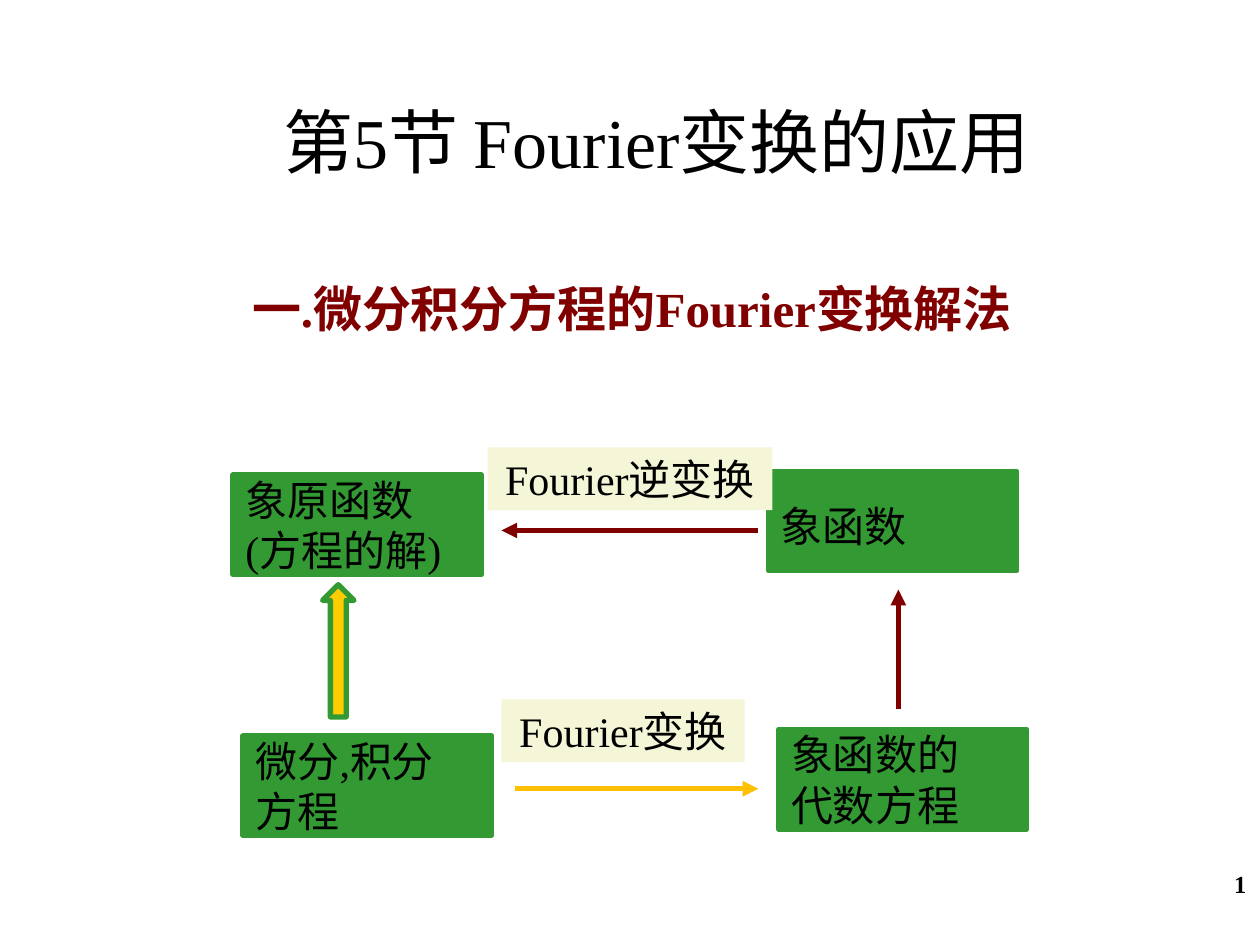
from lxml import etree
from pptx import Presentation
from pptx.dml.color import RGBColor
from pptx.enum.shapes import MSO_CONNECTOR, MSO_SHAPE
from pptx.enum.text import MSO_ANCHOR, PP_ALIGN
from pptx.oxml.ns import qn
from pptx.util import Inches, Pt

LEFT, CENTER, RIGHT = PP_ALIGN.LEFT, PP_ALIGN.CENTER, PP_ALIGN.RIGHT
TOP, MIDDLE, BOTTOM = MSO_ANCHOR.TOP, MSO_ANCHOR.MIDDLE, MSO_ANCHOR.BOTTOM
STEP, RECT, UP = MSO_SHAPE.FLOWCHART_PROCESS, MSO_SHAPE.RECTANGLE, MSO_SHAPE.UP_ARROW
STRAIGHT = MSO_CONNECTOR.STRAIGHT

HUES = {"ink": "000000", "red": "800000", "green": "339933",
        "gold": "FFCC00", "amber": "FFC000", "cream": "F5F5D7"}
RGB = {name: RGBColor.from_string(code) for name, code in HUES.items()}


def write(shape, text, size, align, anchor, wrap=True, bold=False, hue="ink"):
    frame = shape.text_frame
    frame.word_wrap = wrap
    frame.vertical_anchor = anchor
    frame.text = text
    for para in frame.paragraphs:
        para.alignment = align
        para.font.color.rgb = RGB[hue]
        form = {"name": "Times New Roman", "size": Pt(size), "bold": bold}
        for key, value in form.items():
            setattr(para.font, key, value)


def draw(kind, spot, fill, edge=None):
    """Add a filled preset shape without shadow, outlined if edge is given."""
    shape = slide.shapes.add_shape(kind, *map(Inches, spot))
    shape.shadow.inherit = False
    shape.fill.solid()
    shape.fill.fore_color.rgb = RGB[fill]
    if edge:
        shape.line.color.rgb = RGB[edge]
        shape.line.width = Pt(3)
    else:
        shape.line.fill.background()
    return shape


deck = Presentation()
deck.slide_width, deck.slide_height = Inches(10), Inches(7.5)
slide = deck.slides.add_slide(deck.slide_layouts[6])

# Page number and headings
heads = [
    ((8.63, 6.84, 1.36, 0.34), "1", 14, RIGHT, BOTTOM, True, "ink"),
    ((0.96, 2.16, 8.11, 0.71), "一.微分积分方程的Fourier变换解法", 28, CENTER, TOP, True, "red"),
    ((0.96, 0.73, 8.5, 0.77), "第5节 Fourier变换的应用", 40, CENTER, MIDDLE, False, "ink"),
]
for spot, text, size, align, anchor, bold, hue in heads:
    box = slide.shapes.add_textbox(*map(Inches, spot))
    write(box, text, size, align, anchor, bold=bold, hue=hue)

# Four stages of the solution
stages = [
    (1.85, 3.77, "象原函数\n(方程的解)", 0.05),
    (6.1, 3.74, "象函数", 0.12),
    (1.93, 5.84, "微分,积分\n方程", 0.05),
    (6.18, 5.79, "象函数的\n代数方程", 0.05),
]
for left, top, text, inset in stages:
    stage = draw(STEP, (left, top, 1.97, 0.79), "green", "green")
    write(stage, text, 24, LEFT, MIDDLE)
    stage.text_frame.margin_top = Inches(inset)

# Arrows between the stages
draw(UP, (2.56, 4.64, 0.25, 1.05), "gold", "green")
links = [
    (7.13, 5.63, 7.13, 4.68, "red"),
    (6.02, 4.21, 3.98, 4.21, "red"),
    (4.09, 6.26, 6.02, 6.26, "amber"),
]
for *ends, hue in links:
    link = slide.shapes.add_connector(STRAIGHT, *map(Inches, ends))
    link.line.color.rgb = RGB[hue]
    link.line.width = Pt(3)
    etree.SubElement(link.line._get_or_add_ln(), qn("a:tailEnd"), type="triangle")
    etree.SubElement(link._element.spPr, qn("a:effectLst"))

# Names of the transforms
labels = [
    ((3.87, 3.55, 2.26, 0.5), "Fourier逆变换"),
    ((3.98, 5.55, 1.93, 0.5), "Fourier变换"),
]
for spot, text in labels:
    write(draw(RECT, spot, "cream"), text, 24, CENTER, TOP, wrap=False)

deck.save("out.pptx")
